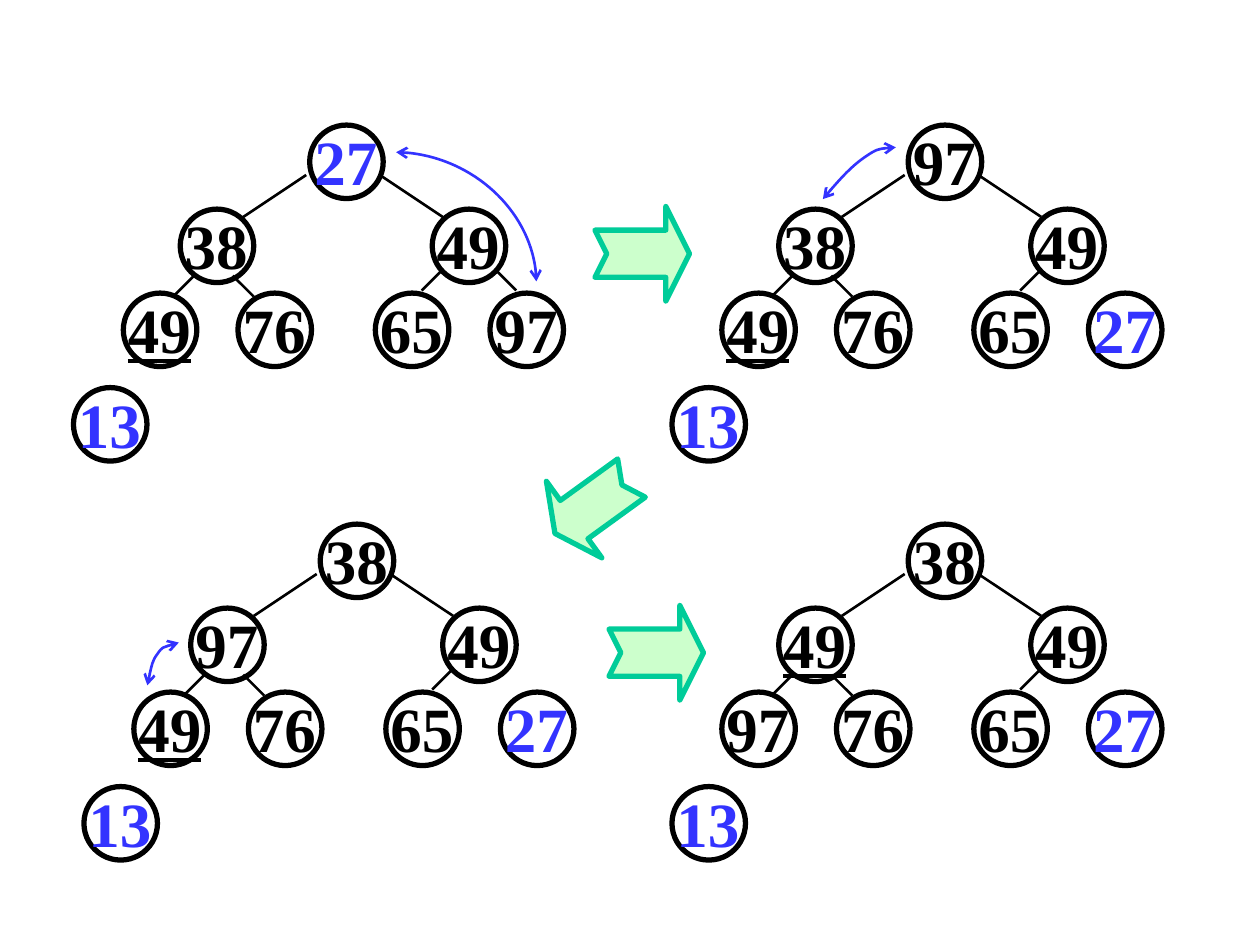
"""Build a slide showing four steps of heap sort as binary trees."""
from lxml.etree import SubElement
from pptx import Presentation
from pptx.dml.color import RGBColor
from pptx.enum.shapes import MSO_CONNECTOR, MSO_SHAPE
from pptx.enum.text import MSO_AUTO_SIZE, PP_ALIGN
from pptx.oxml.ns import qn
from pptx.util import Pt

COLORS = {"ink": "000000", "moved": "3333FF", "arrow_fill": "CCFFCC", "arrow_line": "00CC99"}
NODE_SIZE = 42
NODES = [(135, 0), (61, 48), (205, 48), (28.5, 96), (94, 96), (172.5, 96), (238, 96), (0, 150)]
EDGES = [
    (133, 28.5, 97, 52.5),
    (175, 28.5, 211, 52.5),
    (69, 86, 57, 98),
    (91, 86, 103, 98),
    (211, 82.5, 199, 94.5),
    (241, 82.5, 253, 94.5),
]
TREES = [
    {"origin": (42, 71.5), "values": [27, 38, 49, 49, 76, 65, 97, 13], "underlined": 3, "edges": 6},
    {"origin": (384, 71.5), "values": [97, 38, 49, 49, 76, 65, 27, 13], "underlined": 3, "edges": 5},
    {"origin": (48, 299.5), "values": [38, 97, 49, 49, 76, 65, 27, 13], "underlined": 3, "edges": 5},
    {"origin": (384, 299.5), "values": [38, 49, 49, 97, 76, 65, 27, 13], "underlined": 1, "edges": 5},
]
STEP_ARROWS = [(340, 118, 0), (312, 262, 144.1), (348, 346, 0)]
SWAP_CURVES = [
    [(511.9, 84.2), (506.2, 84.2), (501.1, 85), (493.9, 90), (486.7, 95), (478.1, 104.4), (470.2, 113.8)],
    [(102.2, 367.2), (97.2, 368.6), (92.9, 369.4), (90, 373.7), (87.1, 377.3), (85.7, 384.5), (84.2, 391.7)],
]

presentation = Presentation()
presentation.slide_width, presentation.slide_height = Pt(720), Pt(540)
slide = presentation.slides.add_slide(presentation.slide_layouts[6])


def add_label(text, left, top, color="ink", underline=None):
    box = slide.shapes.add_textbox(Pt(left), Pt(top), Pt(36), Pt(43.2))
    frame = box.text_frame
    frame.margin_left = frame.margin_right = frame.margin_top = frame.margin_bottom = 0
    frame.word_wrap = False
    frame.auto_size = MSO_AUTO_SIZE.SHAPE_TO_FIT_TEXT
    paragraph = frame.paragraphs[0]
    paragraph.alignment = PP_ALIGN.CENTER
    run = paragraph.add_run()
    run.text = text
    run.font.name = "Times New Roman"
    run.font.size = Pt(36)
    run.font.bold = True
    run.font.underline = underline
    run.font.color.rgb = RGBColor.from_string(COLORS[color])


def style_line(shape, color, width, arrowheads=False):
    shape.line.color.rgb = RGBColor.from_string(COLORS[color])
    shape.line.width = Pt(width)
    properties = shape.element.spPr
    if arrowheads:
        for tag in ("a:headEnd", "a:tailEnd"):
            SubElement(properties.find(qn("a:ln")), qn(tag), type="arrow")
    SubElement(properties, qn("a:effectLst"))


for tree in TREES:
    left, top = tree["origin"]
    for x1, y1, x2, y2 in EDGES[:tree["edges"]]:
        edge = slide.shapes.add_connector(
            MSO_CONNECTOR.STRAIGHT, Pt(left + x1), Pt(top + y1), Pt(left + x2), Pt(top + y2)
        )
        style_line(edge, "ink", 1.5)
    for index, ((x, y), value) in enumerate(zip(NODES, tree["values"])):
        node = slide.shapes.add_shape(
            MSO_SHAPE.OVAL, Pt(left + x), Pt(top + y), Pt(NODE_SIZE), Pt(NODE_SIZE)
        )
        node.fill.background()
        style_line(node, "ink", 3)
        add_label(
            str(value),
            left + x + 2.6,
            top + y - 1.2,
            color="moved" if value in (13, 27) else "ink",
            underline=True if index == tree["underlined"] else None,
        )

for left, top, rotation in STEP_ARROWS:
    step_arrow = slide.shapes.add_shape(MSO_SHAPE.NOTCHED_RIGHT_ARROW, Pt(left), Pt(top), Pt(54), Pt(54))
    step_arrow.adjustments[0], step_arrow.adjustments[1] = 0.5, 0.25
    step_arrow.rotation = rotation
    step_arrow.fill.solid()
    step_arrow.fill.fore_color.rgb = RGBColor.from_string(COLORS["arrow_fill"])
    style_line(step_arrow, "arrow_line", 3)

root_swap = slide.shapes.add_connector(MSO_CONNECTOR.CURVE, Pt(226.4), Pt(87), Pt(306.5), Pt(160.8))
root_swap.element.spPr.find(qn("a:prstGeom")).set("prst", "curvedConnector2")
style_line(root_swap, "moved", 1.5, arrowheads=True)

for points in SWAP_CURVES:
    start, *controls = [(Pt(x), Pt(y)) for x, y in points]
    builder = slide.shapes.build_freeform(*start)
    builder.add_line_segments(controls, close=False)
    swap = builder.convert_to_shape()
    segments = swap.element.xpath(".//a:lnTo")
    outline = segments[0].getparent()
    for first in range(0, len(segments), 3):
        curve = SubElement(outline, qn("a:cubicBezTo"))
        for segment in segments[first:first + 3]:
            curve.append(segment[0])
            outline.remove(segment)
    swap.fill.background()
    style_line(swap, "moved", 1.5, arrowheads=True)

presentation.save("out.pptx")
